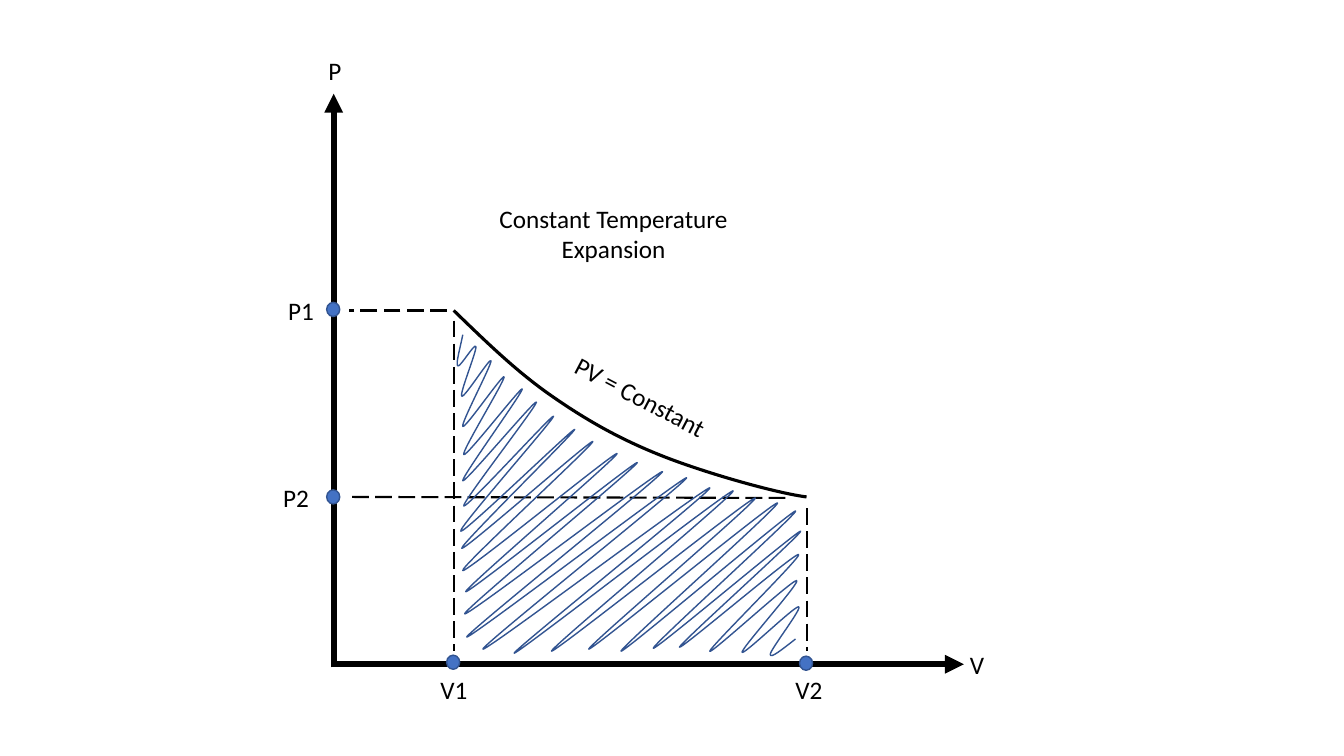
from lxml import etree
from pptx import Presentation
from pptx import util as u
from pptx.dml.color import RGBColor
from pptx.enum import dml, shapes, text
from pptx.oxml.ns import qn

PX = 9144  # EMU per px, 100 px to the inch
BLACK = RGBColor(0x00, 0x00, 0x00)
BLUE = RGBColor(0x44, 0x72, 0xC4)
DARK_BLUE = RGBColor(0x32, 0x54, 0x91)

presentation = Presentation()
presentation.slide_width = 1333 * PX
presentation.slide_height = 750 * PX
slide = presentation.slides.add_slide(presentation.slide_layouts[6])


def add_line(start, end, width):
    line = slide.shapes.add_connector(
        shapes.MSO_CONNECTOR.STRAIGHT, *[value * PX for value in start + end])
    line.line.color.rgb = BLACK
    line.line.width = u.Pt(width)
    etree.SubElement(line._element.spPr, qn("a:effectLst"))
    return line


def add_smooth_curve(points, lead_in, lead_out, color, width):
    """Draw a cubic spline whose tangents follow the neighbouring points."""
    chain = [lead_in] + points + [lead_out]
    vertices = []
    for before, start, end, after in zip(chain, chain[1:], chain[2:], chain[3:]):
        vertices.append([s + (e - b) / 6 for b, s, e in zip(before, start, end)])
        vertices.append([e - (a - s) / 6 for s, e, a in zip(start, end, after)])
        vertices.append(end)
    builder = slide.shapes.build_freeform(
        points[0][0] * PX, points[0][1] * PX, scale=1.0)
    builder.add_line_segments([(x * PX, y * PX) for x, y in vertices], close=False)
    curve = builder.convert_to_shape()
    curve.shadow.inherit = False
    curve.fill.background()
    curve.line.color.rgb = color
    curve.line.width = u.Pt(width)

    # Every three vertices become one Bezier segment
    path = next(curve._element.iter(qn("a:path")))
    segments = path.findall(qn("a:lnTo"))
    for first in range(0, len(segments), 3):
        bezier = etree.SubElement(path, qn("a:cubicBezTo"))
        for segment in segments[first:first + 3]:
            bezier.append(segment[0])
            path.remove(segment)


# Axes with arrowheads
for start, end in [((331, 662), (331, 93)), ((329, 659), (956, 659))]:
    axis = add_line(start, end, 4.5)
    etree.SubElement(axis.line._get_or_add_ln(), qn("a:tailEnd"), type="triangle")

# Expansion curve
add_smooth_curve([(450, 308), (546, 392), (656, 452), (800, 493)],
                 (360, 212), (842, 476), BLACK, 2.25)

# Dashed guides
for start, end in [((450, 318), (450, 646)), ((800, 504), (800, 646)),
                   ((443, 308), (346, 308)), ((779, 494), (346, 493))]:
    guide = add_line(start, end, 1.5)
    guide.line.dash_style = dml.MSO_LINE.LONG_DASH

# Dots on the axes
for left, top in [(443, 650), (793, 651), (324, 486), (324, 300)]:
    dot = slide.shapes.add_shape(
        shapes.MSO_SHAPE.OVAL, left * PX, top * PX, 13 * PX, 14 * PX)
    dot.shadow.inherit = False
    dot.fill.solid()
    dot.fill.fore_color.rgb = BLUE
    dot.line.color.rgb = DARK_BLUE
    dot.line.width = u.Pt(1)

# Hatching of the work area: turning points of one long scribble
hatch_points = [
    (459, 332), (454, 363), (472, 344), (458, 393), (487, 358), (459, 423),
    (500, 374), (460, 451), (518, 386), (459, 477), (532, 399), (460, 502),
    (549, 413), (457, 527), (570, 426), (458, 544), (588, 438), (459, 566),
    (612, 450), (462, 587), (632, 459), (461, 609), (657, 468), (463, 632),
    (681, 474), (479, 644), (704, 484), (510, 648), (727, 487), (547, 646),
    (749, 494), (584, 644), (771, 499), (616, 646), (789, 507), (648, 643),
    (794, 527), (674, 642), (792, 550), (704, 646), (790, 576), (736, 647),
    (792, 602), (764, 649), (789, 634),
]
add_smooth_curve(hatch_points, (472, 273), (842, 589), DARK_BLUE, 1)

# Labels: wording, left, top, width, height, rotation, alignment
LEFT, CENTER = text.PP_ALIGN.LEFT, text.PP_ALIGN.CENTER
labels = [
    ("P", 316, 50, 30, 40, 0, LEFT),
    ("V", 952, 639, 30, 40, 0, LEFT),
    ("V1", 427, 664, 60, 40, 0, LEFT),
    ("V2", 779, 664, 60, 40, 0, LEFT),
    ("P2", 271, 474, 60, 40, 0, LEFT),
    ("P1", 276, 288, 53, 40, 0, LEFT),
    ("Constant Temperature Expansion", 458, 197, 301, 71, 0, CENTER),
    ("PV = Constant", 553, 381, 194, 40, 27.6, LEFT),
]
for wording, left, top, width, height, rotation, alignment in labels:
    label = slide.shapes.add_textbox(left * PX, top * PX, width * PX, height * PX)
    label.rotation = rotation
    label.text_frame.word_wrap = True
    label.text_frame.auto_size = text.MSO_AUTO_SIZE.SHAPE_TO_FIT_TEXT
    paragraph = label.text_frame.paragraphs[0]
    paragraph.alignment = alignment
    run = paragraph.add_run()
    run.text = wording
    run.font.name = "Calibri"
    run.font.size = u.Pt(18)
    run.font.color.rgb = BLACK

presentation.save("out.pptx")
